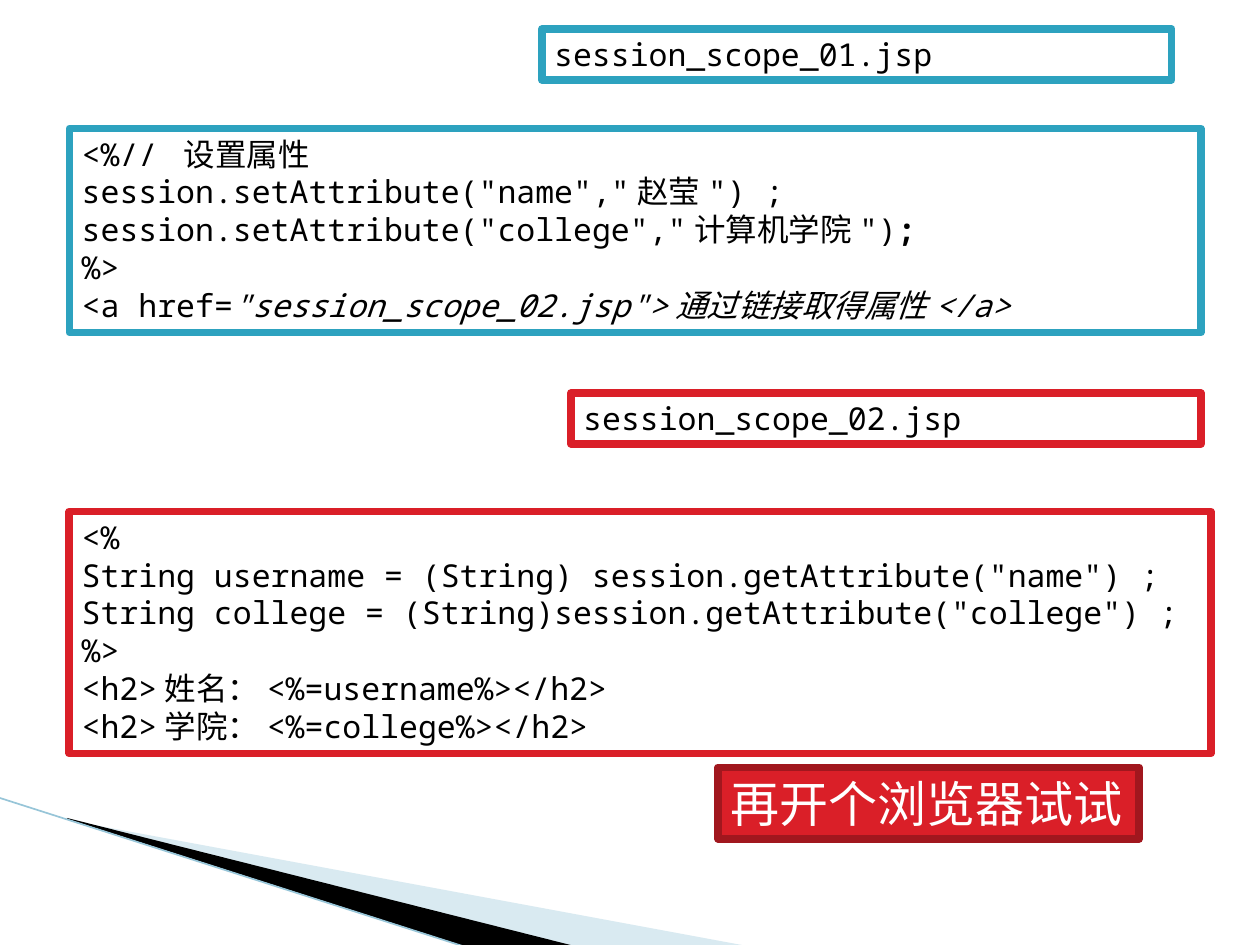
from dataclasses import dataclass
from lxml.etree import SubElement
from pptx import Presentation
from pptx.dml.color import RGBColor
from pptx.enum.shapes import MSO_CONNECTOR, MSO_SHAPE
from pptx.enum.text import MSO_ANCHOR, MSO_AUTO_SIZE, PP_ALIGN
from pptx.oxml.ns import qn
from pptx.util import Pt


@dataclass(frozen=True)
class Theme:
    """Hold the colours, font and sizes of the slide."""
    font: str = "Noto Sans Mono"
    code: float = 18
    call: float = 28
    edge: float = 4.33
    hair: float = 0.95
    black: str = "000000"
    white: str = "FFFFFF"
    teal: str = "2DA2BF"
    red: str = "DA1F28"
    dark: str = "A1171E"
    pale: str = "A0CBDC"
    sky: str = "97C5D8"


THEME = Theme()
SETTER = [
    ["<%// 设置属性"],
    ['session.setAttribute("name","赵莹") ;'],
    ['session.setAttribute("college","计算机学院")', (";", "bold")],
    ["%>"],
    ["<a href=", ('"session_scope_02.jsp">通过链接取得属性</a>', "italic")],
]
GETTER = [
    ["<%"],
    ['String username = (String) session.getAttribute("name") ;'],
    ['String college = (String)session.getAttribute("college") ;'],
    ["%>"],
    ["<h2>姓名：<%=username%></h2>"],
    ["<h2>学院：<%=college%></h2>"],
]


def paint(fill, tone):
    """Give a fill one solid colour."""
    fill.solid()
    fill.fore_color.rgb = RGBColor.from_string(tone)


def wedge(slide, box, spots, tone, alpha=None):
    """Draw a filled outline from points relative to the box."""
    left, top = box
    spots = [(Pt(left + x), Pt(top + y)) for x, y in spots]
    pen = slide.shapes.build_freeform(*spots[0], scale=1.0)
    pen.add_line_segments(spots[1:], close=True)
    shape = pen.convert_to_shape()
    shape.shadow.inherit = False
    paint(shape.fill, tone)
    shape.line.fill.background()
    if alpha:
        node = shape.fill._xPr.find(qn("a:solidFill"))[0]
        SubElement(node, qn("a:alpha"), val=str(alpha * 1000))


def corner(slide, box):
    """Draw the swoosh in the bottom left corner."""
    left, top = box
    wedge(slide, box, [(40.3, 13), (429.1, 85), (329, 85), (40.3, 12.3)],
          THEME.pale, 40)
    wedge(slide, box, [(38.9, 11.6), (329.8, 85), (268.6, 85.7), (39.6, 12.3)],
          THEME.black)
    line = slide.shapes.add_connector(
        MSO_CONNECTOR.STRAIGHT, Pt(left), Pt(top), Pt(left + 267.8), Pt(top + 85.7))
    paint(line.line.fill, THEME.sky)
    line.line.width = Pt(THEME.hair)
    SubElement(line._element.spPr, qn("a:effectLst"))


def panel(slide, box, lines, edge, fill=THEME.white, ink=THEME.black,
          size=THEME.code, wrap=True):
    """Fill the box with a bordered panel of text lines."""
    shape = slide.shapes.add_shape(MSO_SHAPE.RECTANGLE, *map(Pt, box))
    shape.shadow.inherit = False
    paint(shape.fill, fill)
    paint(shape.line.fill, edge)
    shape.line.width = Pt(THEME.edge)
    frame = shape.text_frame
    frame.word_wrap = wrap
    frame.auto_size = MSO_AUTO_SIZE.SHAPE_TO_FIT_TEXT
    frame.vertical_anchor = MSO_ANCHOR.TOP
    for i, parts in enumerate(lines):
        para = frame.add_paragraph() if i else frame.paragraphs[0]
        para.alignment = PP_ALIGN.LEFT
        para.font.name = THEME.font
        para.font.size = Pt(size)
        para.font.color.rgb = RGBColor.from_string(ink)
        for part in parts:
            text, style = (part, None) if isinstance(part, str) else part
            run = para.add_run()
            run.text = text
            if style:
                setattr(run.font, style, True)


def main():
    """Build and save the slide."""
    deck = Presentation()
    deck.slide_width, deck.slide_height = Pt(720), Pt(540)
    slide = deck.slides.add_slide(deck.slide_layouts[6])
    corner(slide, (-0.7, 455.8))
    panel(slide, (39.6, 73.4, 646.6, 116.6), SETTER, THEME.teal)
    panel(slide, (309.6, 16.6, 360, 29), [["session_scope_01.jsp"]], THEME.teal)
    panel(slide, (39.6, 292.3, 652.3, 138.2), GETTER, THEME.red)
    panel(slide, (326.2, 224.6, 360, 29), [["session_scope_02.jsp"]], THEME.red)
    panel(slide, (410.4, 438.5, 240.5, 41), [["再开个浏览器试试"]], THEME.dark,
          THEME.red, THEME.white, THEME.call, False)
    deck.save("out.pptx")


if __name__ == "__main__":
    main()
